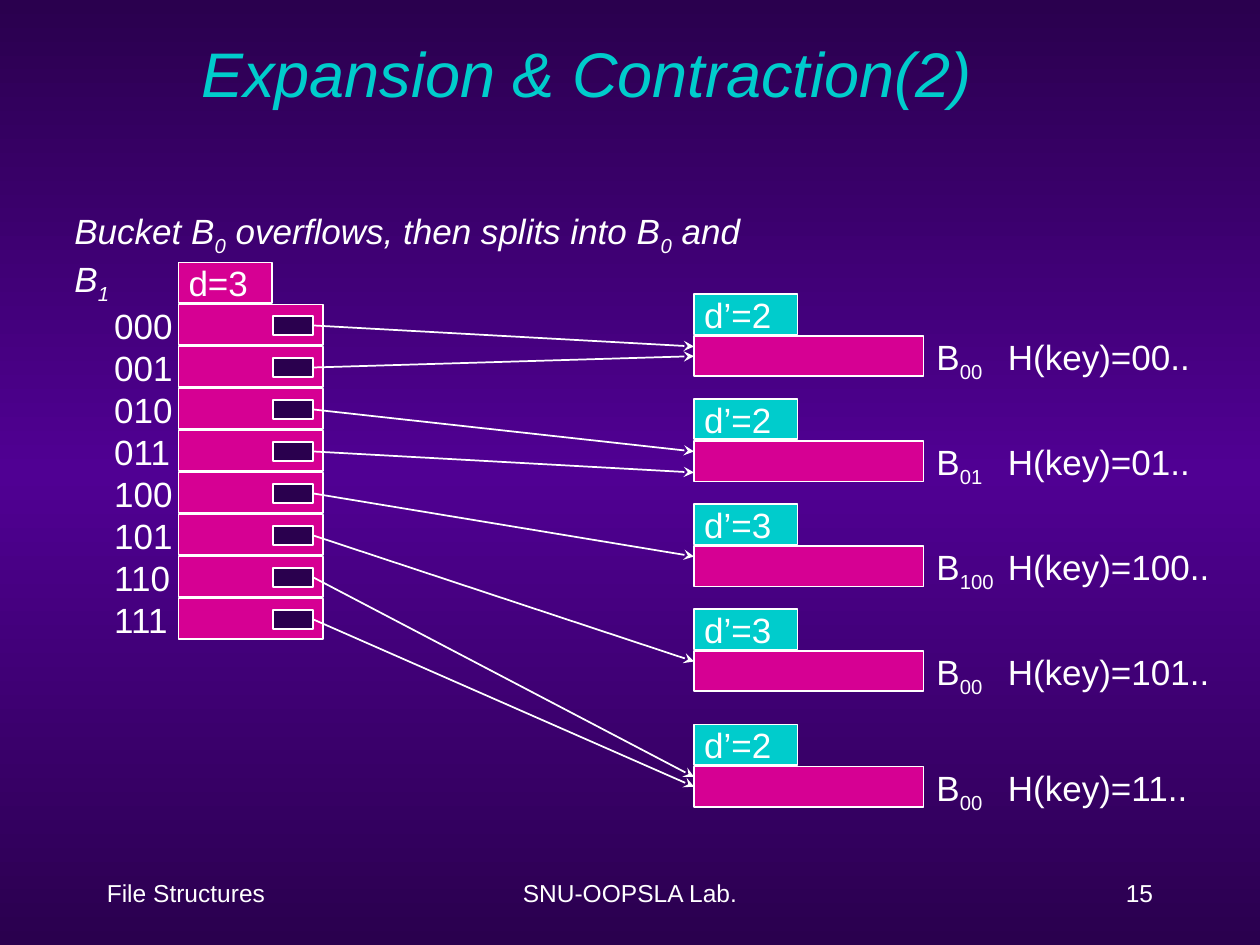
import pptx
import pptx.dml.color
import pptx.enum.shapes
import pptx.enum.text
import pptx.oxml.ns
import pptx.util
from lxml import etree

UNITS_PER_INCH = 12
CELL_HEIGHT = 3.85
WHITE, PINK, TEAL, NAVY, VIOLET = "FFFFFF", "D60093", "00CCCC", "2A004E", "500093"
ALIGN = pptx.enum.text.PP_ALIGN
ANCHOR = pptx.enum.text.MSO_ANCHOR


def grid(count):
    """Return the length of a number of grid units."""
    return pptx.util.Inches(count / UNITS_PER_INCH)


def color(value):
    """Return the colour for a hex string."""
    return pptx.dml.color.RGBColor.from_string(value)


def write(shape, text, size=20, fill=WHITE, italic=False, align=ALIGN.LEFT):
    """Write text into a shape, with every second part between bars as a subscript."""
    para = shape.text_frame.paragraphs[0]
    para.alignment = align
    for index, part in enumerate(text.split("|")):
        if not part:
            continue
        span = para.add_run()
        span.text = part
        span.font.name = "Arial"
        span.font.size = pptx.util.Pt(size)
        span.font.italic = italic
        span.font.color.rgb = color(fill)
        if index % 2:
            span.font._element.set("baseline", "-25000")


def add_text(page, box, text, wrap=False, anchor=ANCHOR.TOP, **text_format):
    """Place a text box that wraps, or one that grows with its text."""
    label = page.shapes.add_textbox(*map(grid, box))
    frame = label.text_frame
    frame.word_wrap = wrap
    frame.vertical_anchor = anchor
    if not wrap:
        frame.auto_size = pptx.enum.text.MSO_AUTO_SIZE.SHAPE_TO_FIT_TEXT
    write(label, text, **text_format)


def add_cell(page, box, fill, text=""):
    """Place an outlined rectangle with optional left-aligned text."""
    cell = page.shapes.add_shape(
        pptx.enum.shapes.MSO_SHAPE.RECTANGLE, *map(grid, box))
    cell.shadow.inherit = False
    cell.fill.solid()
    cell.fill.fore_color.rgb = color(fill)
    cell.line.color.rgb = color(WHITE)
    cell.line.width = pptx.util.Pt(1)
    if text:
        frame = cell.text_frame
        frame.word_wrap = False
        frame.vertical_anchor = ANCHOR.MIDDLE
        frame.margin_left = pptx.util.Inches(0.08)
        frame.margin_top = frame.margin_bottom = 0
        write(cell, text)
    return cell


def add_arrow(page, pointer, bucket, drop):
    """Draw an arrow from a pointer to a point down the left side of a bucket."""
    arrow = page.shapes.add_connector(
        pptx.enum.shapes.MSO_CONNECTOR.STRAIGHT,
        pointer.left + pointer.width, pointer.top + pointer.height // 2,
        bucket.left, bucket.top + grid(drop))
    arrow.begin_connect(pointer, 3)
    if drop == 2:
        arrow.end_connect(bucket, 1)
    arrow.line.color.rgb = color(WHITE)
    arrow.line.width = pptx.util.Pt(1)
    line = arrow.line._get_or_add_ln()
    etree.SubElement(line, pptx.oxml.ns.qn("a:tailEnd"), type="stealth")
    etree.SubElement(arrow._element.spPr, pptx.oxml.ns.qn("a:effectLst"))


def paint_background(page):
    """Fill the page with a vertical gradient that is lightest in the middle."""
    fill = page.background.fill
    fill.gradient()
    fill.gradient_angle = 90
    stops = next(page._element.iter(pptx.oxml.ns.qn("a:gsLst")))
    for stop in list(stops):
        stops.remove(stop)
    for percent, shade in ((0, NAVY), (50, VIOLET), (100, NAVY)):
        stop = etree.SubElement(
            stops, pptx.oxml.ns.qn("a:gs"), pos=str(percent * 1000))
        etree.SubElement(stop, pptx.oxml.ns.qn("a:srgbClr"), val=shade)


def add_directory(page, left, top, row_height, depth):
    """Place the directory with its depth tag and return its pointers."""
    add_cell(page, (left, top, 8.9, CELL_HEIGHT), PINK, f"d={depth}")
    pointers = []
    for index in range(2 ** depth):
        row = top + (index + 1) * row_height
        add_cell(page, (left, row, 13.8, CELL_HEIGHT), PINK)
        pointers.append(add_cell(page, (left + 9, row + 1.1, 3.85, 1.8), NAVY))
        add_text(page, (left - 7.3, row - 0.6, 8, 5.2), f"{index:0{depth}b}")
    return pointers


def add_bucket(page, left, top, depth, name, prefix):
    """Place a bucket with its depth tag, name and key rule and return it."""
    row = top + 4
    add_cell(page, (left, top, 9.85, CELL_HEIGHT), TEAL, f"d’={depth}")
    bucket = add_cell(page, (left, row, 21.85, CELL_HEIGHT), PINK)
    name_width = 4.6 + 1.1 * len(name)
    add_text(page, (left + 21.9, row - 0.6, name_width, 5.75), f"B|{name}")
    rule_width = 16.2 + 1.8 * len(prefix)
    add_text(page, (left + 28.7, row - 0.6, rule_width, 5.2), f"H(key)={prefix}..")
    return bucket


def add_footer(page, top, height):
    """Place the three footer texts."""
    for left, width, text, align in (
            (9, 25, "File Structures", ALIGN.LEFT),
            (41, 38, "SNU-OOPSLA Lab.", ALIGN.CENTER),
            (86, 25, "15", ALIGN.RIGHT)):
        add_text(page, (left, top, width, height), text, wrap=True,
                 anchor=ANCHOR.MIDDLE, size=14, align=align)


def main():
    """Build the slide and save the deck."""
    deck = pptx.Presentation()
    deck.slide_width, deck.slide_height = grid(120), grid(90)
    page = deck.slides.add_slide(deck.slide_layouts[6])
    paint_background(page)
    add_text(page, (18, 3, 76, 7.8), "Expansion & Contraction(2)", wrap=True,
             anchor=ANCHOR.MIDDLE, size=36, fill=TEAL, italic=True)
    add_text(page, (5.9, 19.4, 70, 5.75),
             "Bucket B|0| overflows, then splits into B|0| and B|1", italic=True)
    pointers = add_directory(page, 17, 25, 4, 3)
    buckets = [
        add_bucket(page, 66.1, *details) for details in (
            (28, 2, "00", "00"), (38, 2, "01", "01"), (48, 3, "100", "100"),
            (58, 3, "00", "101"), (69, 2, "00", "11"))]
    targets = ((0, 1), (0, 2), (1, 1), (1, 3), (2, 1), (3, 1), (4, 1), (4, 2))
    for pointer, (target, drop) in zip(pointers, targets):
        add_arrow(page, pointer, buckets[target], drop)
    add_footer(page, 82, 6)
    deck.save("out.pptx")


if __name__ == "__main__":
    main()
